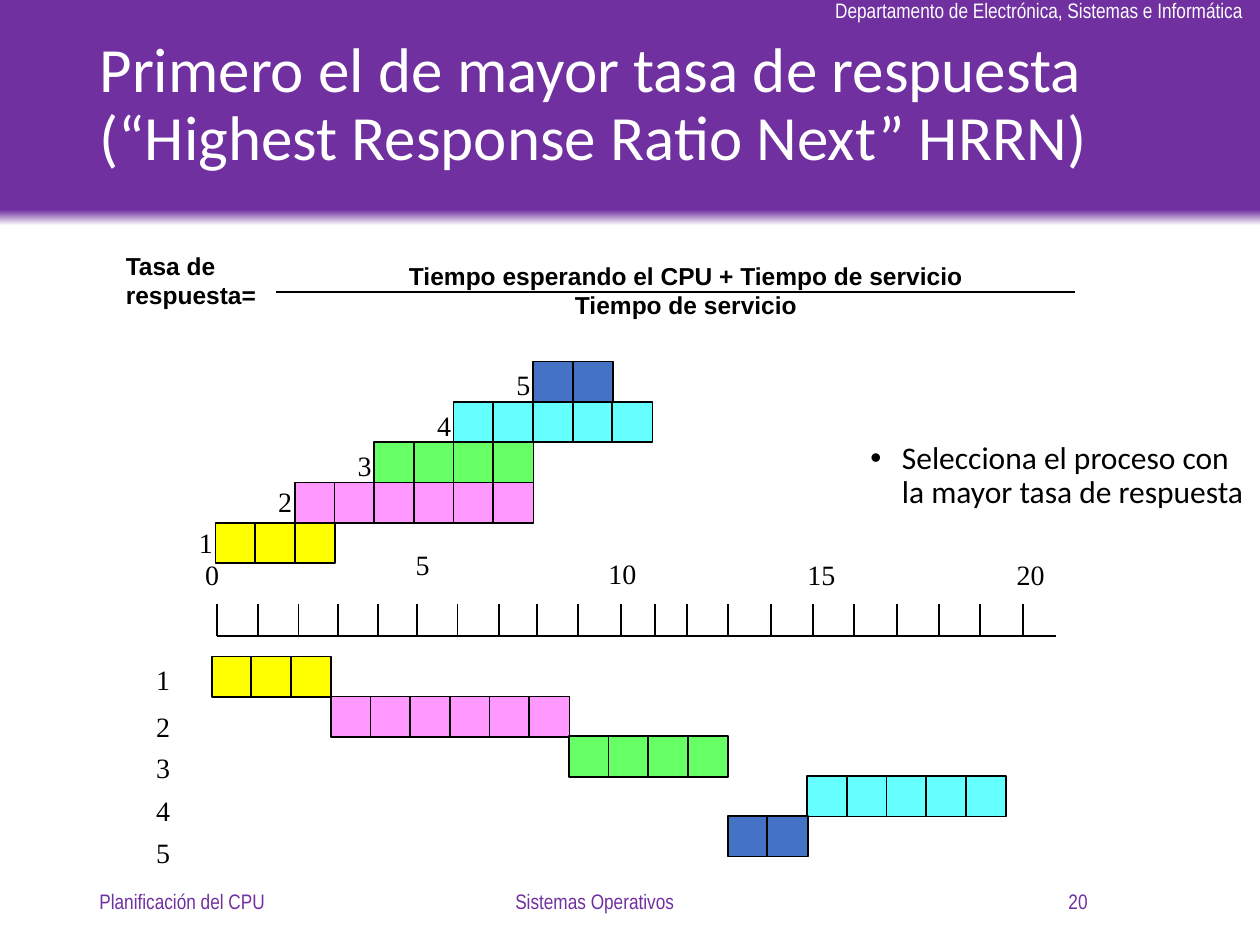
from pptx import Presentation
from pptx.dml.color import RGBColor
from pptx.enum.shapes import MSO_CONNECTOR, MSO_SHAPE
from pptx.enum.text import MSO_ANCHOR, MSO_AUTO_SIZE, PP_ALIGN
from pptx.oxml import parse_xml
from pptx.oxml.ns import nsdecls
from pptx.util import Inches, Pt

COLS, ROWS = 100, 75
UNIT = Inches(10) / COLS
STEP, CELL = 3.15, 3.2
BLACK, WHITE, PURPLE = "000000", "FFFFFF", "7030A0"
SERIF, NARROW = "Times New Roman", "Arial Narrow"
LEFT, MID, RIGHT = PP_ALIGN.LEFT, PP_ALIGN.CENTER, PP_ALIGN.RIGHT
JOBS = [
    ("1", "FFFF00", 3, 0, 0),
    ("2", "FF99FF", 6, 2, 3),
    ("3", "66FF66", 4, 4, 9),
    ("4", "66FFFF", 5, 6, 15),
    ("5", "4472C4", 2, 8, 13),
]
TICKS = [0, 3.3, 6.5, 9.6, 12.8, 15.9, 19.1, 22.4, 25.4, 28.7, 32.1,
         34.8, 37.3, 40.6, 44, 47.3, 50.6, 54, 57.3, 60.6, 64]
MARKS = [("0", -1.9, 0.8, 3.1), ("5", 14.8, 0, 3.1), ("10", 30.1, 0.7, 4.2),
         ("15", 45.9, 0.8, 4.2), ("20", 62.5, 0.8, 4.2)]


def span(*sizes):
    """Turn grid units into slide lengths."""
    return [round(size * UNIT) for size in sizes]


def tint(code):
    """Return the colour of a hex string."""
    return RGBColor.from_string(code)


def style(frame, size, face, code=BLACK, bold=False, align=LEFT):
    """Format every paragraph of a text frame."""
    for para in frame.paragraphs:
        para.alignment = align
        font = para.font
        font.size, font.name, font.bold = Pt(size), face, bold
        font.color.rgb = tint(code)


def write(slide, box, text, size, face, code=BLACK, bold=False,
          align=LEFT, wrap=True, anchor=MSO_ANCHOR.TOP):
    """Add a text box and return its frame."""
    frame = slide.shapes.add_textbox(*span(*box)).text_frame
    frame.text = text
    frame.word_wrap, frame.vertical_anchor = wrap, anchor
    if not wrap:
        frame.auto_size = MSO_AUTO_SIZE.SHAPE_TO_FIT_TEXT
    style(frame, size, face, code, bold, align)
    return frame


def label(slide, x, y, text, wide=3.1):
    """Add a short serif label."""
    write(slide, (x, y, wide, 3.6), text, 16, SERIF, wrap=False)


def rule(slide, *ends):
    """Draw a thin black line between two points."""
    line = slide.shapes.add_connector(MSO_CONNECTOR.STRAIGHT, *span(*ends))
    line.line.color.rgb, line.line.width = tint(BLACK), Pt(1)
    props = line._element.spPr
    props.append(parse_xml(f"<a:effectLst {nsdecls('a')}/>"))


def bar(slide, x, y, count, code):
    """Draw a row of equal cells."""
    for col in range(count):
        cell = slide.shapes.add_shape(
            MSO_SHAPE.RECTANGLE, *span(x + col * STEP, y, CELL, CELL))
        cell.shadow.inherit = False
        cell.fill.solid()
        cell.fill.fore_color.rgb = tint(code)
        cell.line.color.rgb, cell.line.width = tint(BLACK), Pt(1)


def header(slide, x, y, wide, high):
    """Place the purple band, the department and the title."""
    band = slide.shapes.add_shape(
        MSO_SHAPE.RECTANGLE, *span(x, y, wide, high))
    band.shadow.inherit = False
    band.line.fill.background()
    band.fill.gradient()
    band.fill.gradient_angle = 90
    for stop, code, pos in zip(
            band.fill.gradient_stops, (WHITE, PURPLE), (0, 0.07)):
        stop.color.rgb, stop.position = tint(code), pos
    write(slide, (x + 65.3, y - 0.7, 34.8, 3),
          "Departamento de Electrónica, Sistemas e Informática",
          12, NARROW, WHITE, wrap=False)
    title = slide.shapes.title
    slide.shapes.element.append(title.element)
    title.left, title.top, title.width, title.height = span(
        x + 6.9, y + 1.5, 86.2, 13.9)
    frame = title.text_frame
    frame.text = ("Primero el de mayor tasa de respuesta\v"
                  "(“Highest Response Ratio Next” HRRN)")
    frame.vertical_anchor = MSO_ANCHOR.MIDDLE
    frame.auto_size = MSO_AUTO_SIZE.NONE
    style(frame, 36, "Calibri", WHITE)
    frame.paragraphs[0].line_spacing = 0.9


def ratio(slide, x, y):
    """Place the response ratio formula."""
    write(slide, (x, y, 14.4, 5.7), "Tasa de respuesta=",
          14, "Arial", bold=True)
    write(slide, (x + 6.3, y + 0.8, 78.3, 5.7),
          "Tiempo esperando el CPU + Tiempo de servicio\nTiempo de servicio",
          14, "Arial", bold=True, align=MID)
    rule(slide, x + 12.9, y + 3.8, x + 76.3, y + 3.8)


def arrive(slide, x, y):
    """Draw the jobs at their arrival times, first job lowest."""
    for row, (name, code, count, start, _) in enumerate(JOBS):
        left, top = x + start * STEP, y + (len(JOBS) - 1 - row) * CELL
        bar(slide, left, top, count, code)
        label(slide, left - 2.3, top - (0.3 if row < 2 else 0), name)


def axis(slide, x, y):
    """Draw the time axis with its ticks and numbers."""
    base = y + 7.5
    rule(slide, x, base, x + 66.6, base)
    for tick in TICKS:
        rule(slide, x + tick, base, x + tick, base - 2.6)
    for text, left, drop, wide in MARKS:
        label(slide, x + left, y + drop, text, wide)


def serve(slide, x, y):
    """Draw the jobs at the times they run."""
    drops = [0, 3.7, 7, 10.4, 13.7]
    for row, (name, code, count, _, start) in enumerate(JOBS):
        bar(slide, x + start * STEP, y + row * 3.17, count, code)
        label(slide, x - 5.4, y + drops[row], name)


def note(slide, *box):
    """Place the bulleted remark."""
    frame = write(slide, box,
                  "Selecciona el proceso con la mayor tasa de respuesta",
                  18, "Calibri")
    para = frame.paragraphs[0]
    para.line_spacing = 0.9
    props = para._p.get_or_add_pPr()
    inset = str(Inches(0.25))
    props.set("marL", inset)
    props.set("indent", "-" + inset)
    mark = parse_xml(f'<a:buChar {nsdecls("a")} char="•"/>')
    face = parse_xml(f'<a:buFont {nsdecls("a")} typeface="Arial"/>')
    first = props.find("{*}defRPr")
    first.addprevious(face)
    first.addprevious(mark)


def footer(slide, x, y, high):
    """Place the three footer texts."""
    parts = [("Planificación del CPU", 0, 22.5, LEFT),
             ("Sistemas Operativos", 23.4, 33.8, MID),
             ("20", 57.9, 22.5, RIGHT)]
    for text, left, wide, align in parts:
        write(slide, (x + left, y, wide, high), text, 12, NARROW, PURPLE,
              align=align, anchor=MSO_ANCHOR.MIDDLE)


def main():
    """Build and save the slide."""
    deck = Presentation()
    deck.slide_width, deck.slide_height = span(COLS, ROWS)
    slide = deck.slides.add_slide(deck.slide_layouts[5])
    header(slide, 0, 0, COLS, 17.9)
    footer(slide, 6.9, 69.5, 4)
    note(slide, 68.1, 34.6, 31.9, 8.2)
    ratio(slide, 9, 19.4)
    axis(slide, 17.2, 43)
    serve(slide, 16.8, 52.1)
    arrive(slide, 17.1, 28.7)
    deck.save("out.pptx")


if __name__ == "__main__":
    main()
